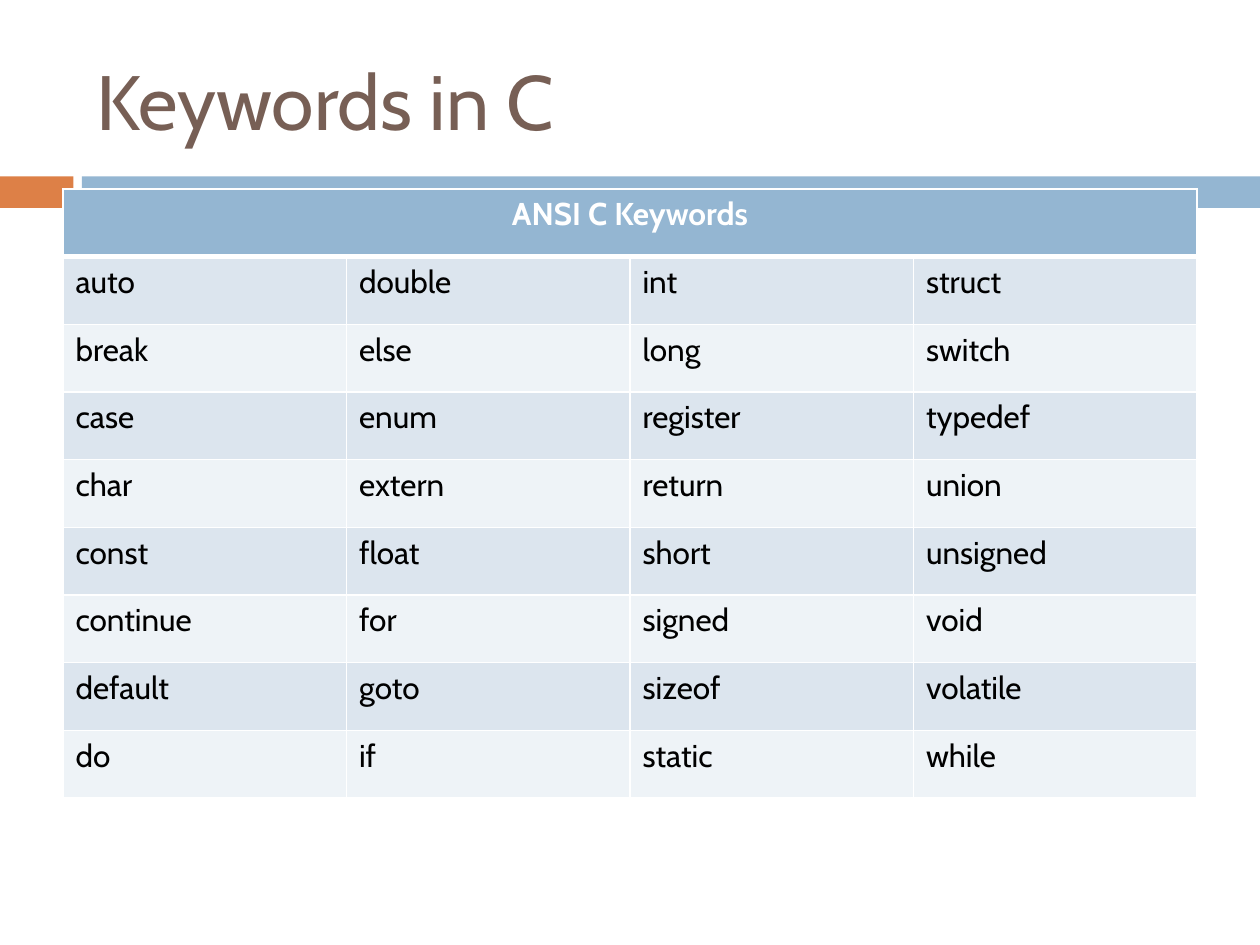
"""Build a slide that lists the keywords of ANSI C in a table."""
from lxml import etree
from pptx import Presentation
from pptx import util as u
from pptx.dml.color import RGBColor
from pptx.enum import shapes, text
from pptx.oxml.ns import qn

FONT = "Cabin"
TITLE = "Keywords in C"
HEADING = "ANSI C Keywords"
KEYWORD_COLUMNS = [
    "auto break case char const continue default do".split(),
    "double else enum extern float for goto if".split(),
    "int long register return short signed sizeof static".split(),
    "struct switch typedef union unsigned void volatile while".split(),
]
BANDS = [(0, 42, "DD8047"), (46.8, 673.2, "94B6D2")]
ROW_FILLS = ["DCE5EE", "EEF3F7"]


def paint(fill, color):
    fill.solid()
    fill.fore_color.rgb = RGBColor.from_string(color)


def write(frame, wording, size, color, align=text.PP_ALIGN.LEFT, bold=False):
    frame.text = wording
    line = frame.paragraphs[0]
    line.alignment = align
    font = line.runs[0].font
    font.name, font.size, font.bold = FONT, u.Pt(size), bold
    font.color.rgb = RGBColor.from_string(color)


def style_cell(cell, color, bottom=1):
    properties = cell._tc.get_or_add_tcPr()
    for side, width in {"L": 1, "R": 1, "T": 1, "B": bottom}.items():
        border = etree.SubElement(properties, qn(f"a:ln{side}"), w=str(u.Pt(width)))
        solid = etree.SubElement(border, qn("a:solidFill"))
        etree.SubElement(solid, qn("a:srgbClr"), val="FFFFFF")
    paint(cell.fill, color)


deck = Presentation()
deck.slide_width, deck.slide_height = u.Pt(720), u.Pt(540)
slide = deck.slides.add_slide(deck.slide_layouts[5])

for left, width, color in BANDS:
    band = slide.shapes.add_shape(
        shapes.MSO_SHAPE.RECTANGLE, u.Pt(left), u.Pt(100.8), u.Pt(width), u.Pt(18))
    band.shadow.inherit = False
    paint(band.fill, color)
    band.line.fill.background()

title = slide.shapes.title
title.left, title.top, title.width, title.height = map(u.Pt, (48, 18, 642, 78))
write(title.text_frame, TITLE, 44, "775F55")
title.text_frame.vertical_anchor = text.MSO_ANCHOR.MIDDLE

row_count, column_count = len(KEYWORD_COLUMNS[0]) + 1, len(KEYWORD_COLUMNS)
keywords = slide.shapes.add_table(
    row_count, column_count, u.Pt(36), u.Pt(108), u.Pt(648), u.Pt(348)).table

for column, words in enumerate(KEYWORD_COLUMNS):
    style_cell(keywords.cell(0, column), "94B6D2", bottom=3)
    for row, word in enumerate(words, 1):
        cell = keywords.cell(row, column)
        style_cell(cell, ROW_FILLS[(row - 1) % 2], bottom=1)
        write(cell.text_frame, word, 18, "000000")

heading = keywords.cell(0, 0)
heading.merge(keywords.cell(0, column_count - 1))
write(heading.text_frame, HEADING, 18, "FFFFFF", text.PP_ALIGN.CENTER, bold=True)

deck.save("out.pptx")
